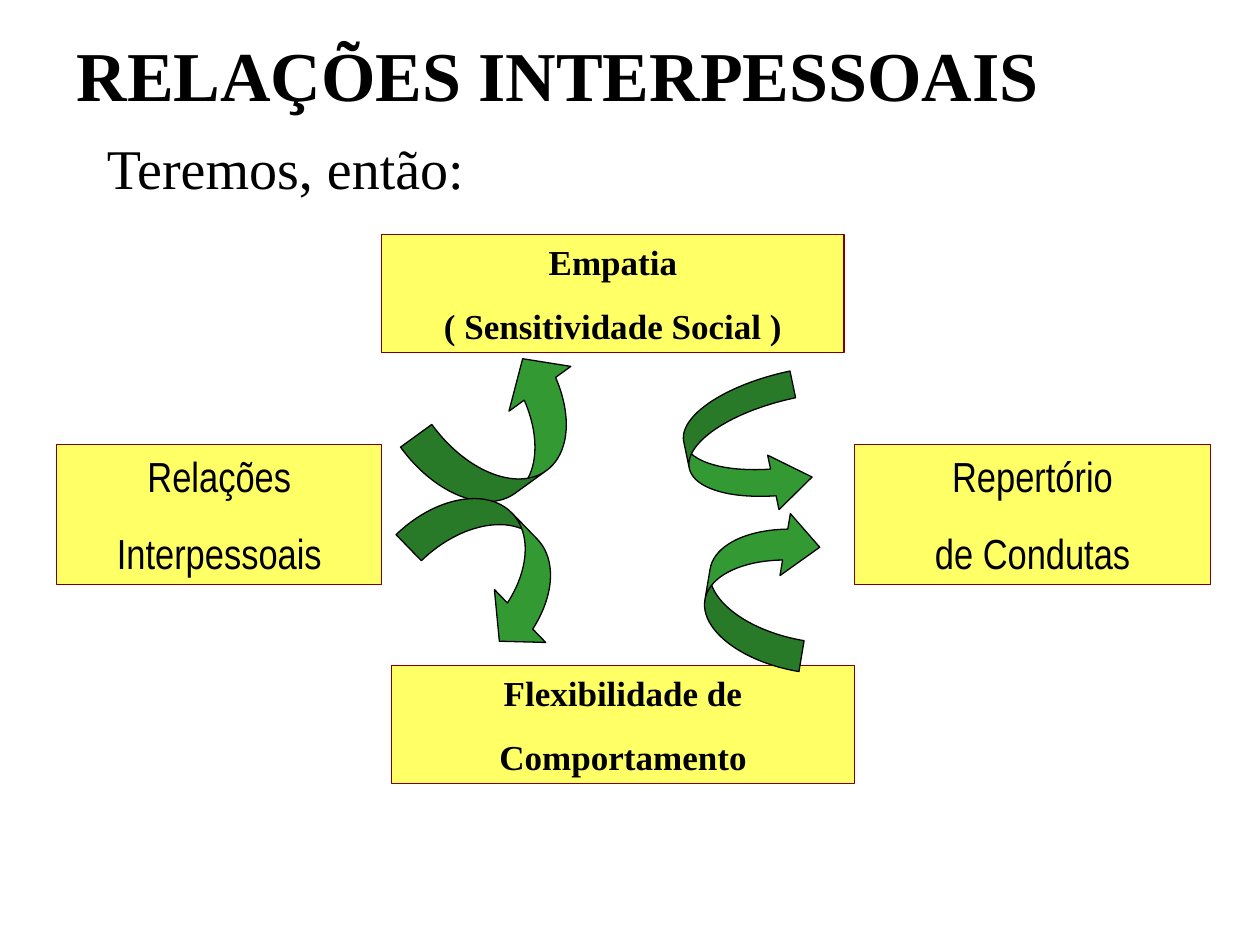
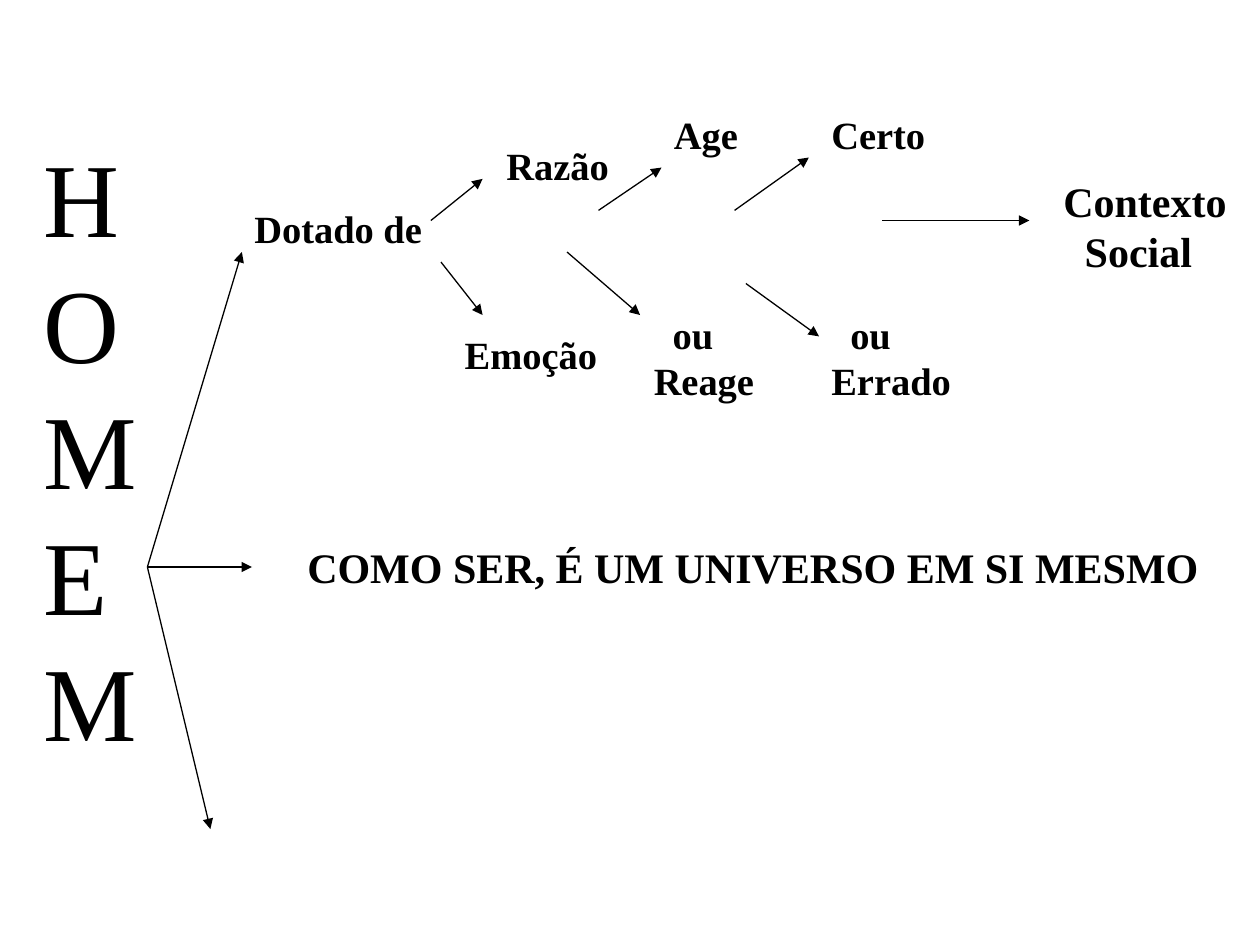
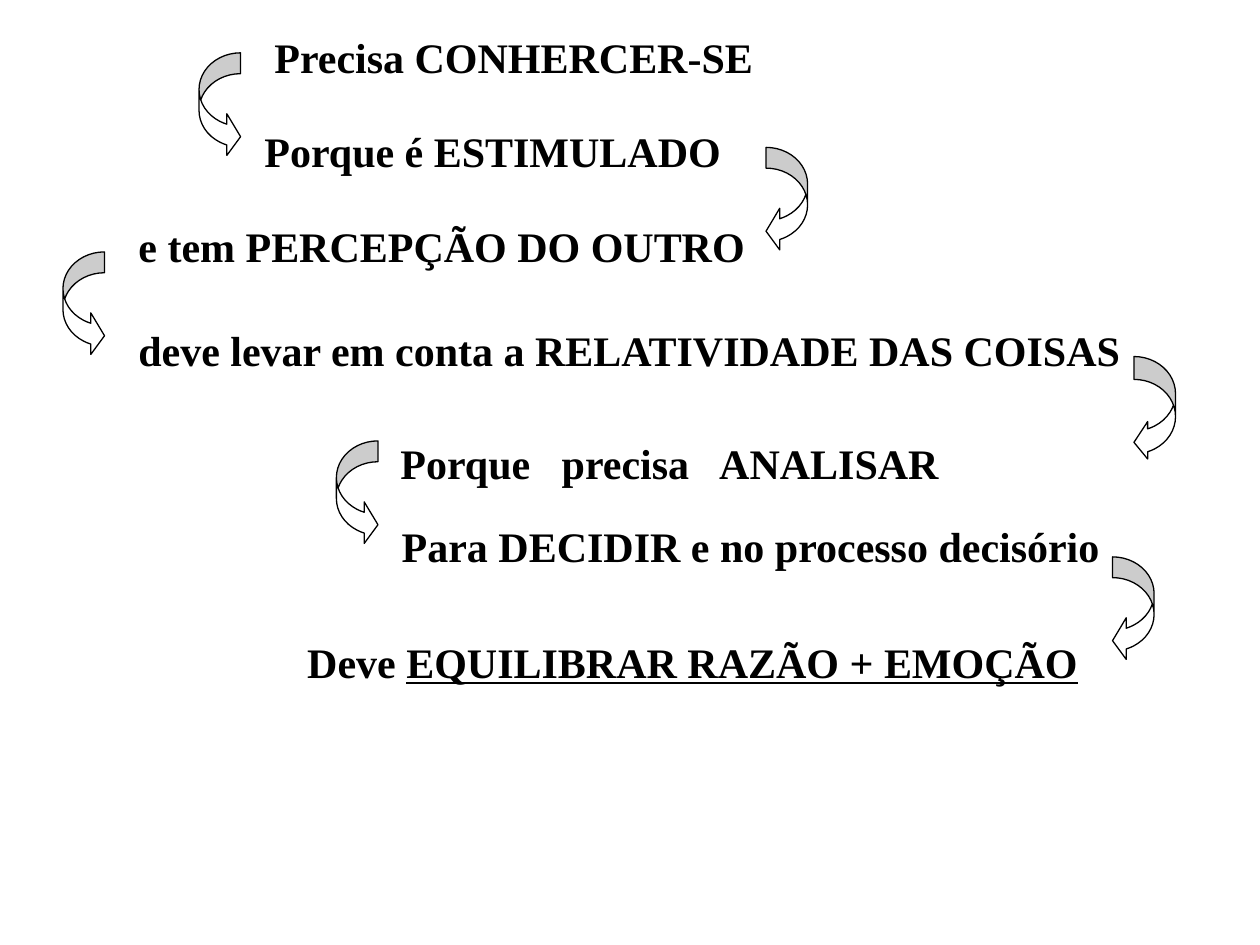
from pptx import Presentation
from pptx.dml.color import RGBColor
from pptx.enum.shapes import MSO_CONNECTOR, MSO_SHAPE
from pptx.enum.text import MSO_ANCHOR, PP_ALIGN
from pptx.oxml.ns import qn
from pptx.util import Inches, Pt
from lxml import etree

BLACK = RGBColor(0x00, 0x00, 0x00)
WHITE = RGBColor(0xFF, 0xFF, 0xFF)
YELLOW = RGBColor(0xFF, 0xFF, 0x66)
MAROON = RGBColor(0x80, 0x00, 0x00)
GREEN = RGBColor(0x33, 0x99, 0x33)

SERIF = "Times New Roman"
NARROW = "Arial Narrow"
LINE_WIDTH = Pt(0.75)

STRAIGHT = MSO_CONNECTOR.STRAIGHT
RECTANGLE = MSO_SHAPE.RECTANGLE
CURVED_UP = MSO_SHAPE.CURVED_UP_ARROW
CURVED_DOWN = MSO_SHAPE.CURVED_DOWN_ARROW
CURVED_LEFT = MSO_SHAPE.CURVED_LEFT_ARROW
CURVED_RIGHT = MSO_SHAPE.CURVED_RIGHT_ARROW
CENTER = PP_ALIGN.CENTER
MIDDLE = MSO_ANCHOR.MIDDLE
TOP = MSO_ANCHOR.TOP


def style_font(font, size, bold, name=SERIF):
    font.name = name
    font.size = Pt(size)
    font.bold = bold
    font.color.rgb = BLACK


def add_text(page, place, text, size=24, bold=True, anchor=TOP):
    box = page.shapes.add_textbox(*map(Inches, place))
    frame = box.text_frame
    frame.text = text
    frame.word_wrap = True
    frame.vertical_anchor = anchor
    for para in frame.paragraphs:
        for span in para.runs:
            style_font(span.font, size, bold)
    return frame


def indent(para, distance):
    para._p.get_or_add_pPr().set("marL", str(Inches(distance)))


def add_tabs(para, stops):
    tabs = etree.SubElement(para._p.get_or_add_pPr(), qn("a:tabLst"))
    for stop in stops:
        etree.SubElement(tabs, qn("a:tab"), pos=str(Inches(stop)), algn="l")


def add_filled_shape(page, kind, place, fill, line):
    shape = page.shapes.add_shape(kind, *map(Inches, place))
    shape.shadow.inherit = False
    shape.fill.solid()
    shape.fill.fore_color.rgb = fill
    shape.line.color.rgb = line
    shape.line.width = LINE_WIDTH
    return shape


def add_concept(page, place, text, size, name, bold):
    box = add_filled_shape(page, RECTANGLE, place, YELLOW, MAROON)
    frame = box.text_frame
    frame.text = text
    frame.word_wrap = True
    frame.vertical_anchor = TOP
    for number, para in enumerate(frame.paragraphs):
        para.alignment = CENTER
        if number:
            para.space_before = Pt(size * 0.625)
        for span in para.runs:
            style_font(span.font, size, bold, name)


def add_curved_arrow(page, kind, place, fill, proportions, rotation=0):
    arrow = add_filled_shape(page, kind, place, fill, BLACK)
    arrow.rotation = rotation
    for number, proportion in enumerate(proportions):
        arrow.adjustments[number] = proportion


def add_arrow(page, start, end):
    arrow = page.shapes.add_connector(STRAIGHT, *map(Inches, start + end))
    arrow.line.color.rgb = BLACK
    arrow.line.width = LINE_WIDTH
    line = arrow.line._get_or_add_ln()
    etree.SubElement(line, qn("a:tailEnd"), type="triangle")
    etree.SubElement(arrow._element.spPr, qn("a:effectLst"))


def build_relations(page):
    add_text(page, (0.51, 0, 8.83, 1.17), "RELAÇÕES INTERPESSOAIS", 40,
             anchor=MIDDLE)
    subtitle = add_text(page, (0.75, 1.07, 3.07, 0.63), "Teremos, então:", 32,
                        bold=False)
    subtitle.paragraphs[0].line_spacing = 0.9

    for place, text, size, name, bold in (
        ((0.45, 3.53, 2.58, 1.11), "Relações\nInterpessoais", 24, NARROW, False),
        ((3.03, 1.86, 3.67, 0.94), "Empatia\n( Sensitividade Social )", 20, SERIF, True),
        ((3.11, 5.28, 3.67, 0.94), "Flexibilidade de\nComportamento", 20, SERIF, True),
        ((6.78, 3.53, 2.83, 1.11), "Repertório\nde Condutas", 24, NARROW, False),
    ):
        add_concept(page, place, text, size, name, bold)

    for kind, place, proportions, rotation in (
        (CURVED_UP, (3.28, 3.03, 1.5, 0.83), (0.37, 0.73, 0.33), 324.1),
        (CURVED_DOWN, (3.2, 4.11, 1.47, 0.78), (0.37, 0.75, 0.33), 45.9),
        (CURVED_UP, (5.38, 3.1, 1.08, 0.94), (0.23, 0.47, 0.33), 78.2),
        (CURVED_DOWN, (5.41, 4.23, 1.25, 0.83), (0.3, 0.6, 0.33), 279.5),
    ):
        add_curved_arrow(page, kind, place, GREEN, proportions, rotation)


def build_man(page):
    add_text(page, (0.25, 1, 0.92, 5.1), "HOMEM", 60, bold=False)

    for place, text in (
        ((1.92, 1.58, 1.58, 0.47), "Dotado de"),
        ((3.92, 1.08, 1.05, 0.47), "Razão"),
        ((3.59, 2.58, 1.3, 0.47), "Emoção"),
        ((5.25, 0.83, 0.75, 0.47), "Age"),
        ((6.5, 0.83, 1, 0.47), "Certo"),
    ):
        add_text(page, place, text, 22)

    for place, text in (
        ((5.09, 2.42, 1.05, 0.84), "ou\nReage"),
        ((6.5, 2.42, 1.2, 0.84), "ou\nErrado"),
    ):
        choice = add_text(page, place, text, 22)
        indent(choice.paragraphs[0], 0.15)

    context = add_text(page, (8.34, 1.34, 1.55, 0.9), "Contexto\nSocial")
    indent(context.paragraphs[1], 0.17)
    add_text(page, (2.34, 4.25, 7.32, 0.5), "COMO SER, É UM UNIVERSO EM SI MESMO")

    origin = (1.17, 4.5)
    for end in ((1.92, 2), (2, 4.5), (1.67, 6.58)):
        add_arrow(page, origin, end)
    for start, end in (
        ((3.42, 1.75), (3.83, 1.42)),
        ((3.5, 2.08), (3.83, 2.5)),
        ((4.75, 1.67), (5.25, 1.33)),
        ((4.5, 2), (5.08, 2.5)),
        ((5.83, 1.67), (6.42, 1.25)),
        ((5.92, 2.25), (6.5, 2.67)),
        ((7, 1.75), (8.17, 1.75)),
    ):
        add_arrow(page, start, end)


def build_steps(page):
    for left, top, width, text in (
        (2.08, 0.2, 4.05, "Precisa CONHERCER-SE"),
        (2, 0.95, 3.88, "Porque é ESTIMULADO"),
        (1, 1.7, 5.05, "e tem PERCEPÇÃO DO OUTRO"),
        (1, 2.53, 8.05, "deve levar em conta a RELATIVIDADE DAS COISAS"),
        (3.09, 4.08, 5.8, "Para DECIDIR e no processo decisório"),
    ):
        add_text(page, (left, top, width, 0.5), text)

    analysis = add_text(page, (3.08, 3.42, 5, 0.5), "Porque\tprecisa\tANALISAR")
    add_tabs(analysis.paragraphs[0], (1.28, 2.53))

    balance = add_text(page, (2.34, 5, 6.36, 0.5), "Deve ")
    goal = balance.paragraphs[0].add_run()
    goal.text = "EQUILIBRAR RAZÃO + EMOÇÃO"
    style_font(goal.font, 24, True)
    goal.font.underline = True

    regular = (0.5, 1, 0.33)
    for kind, left, top, proportions in (
        (CURVED_RIGHT, 1.58, 0.42, regular),
        (CURVED_LEFT, 6.08, 1.17, regular),
        (CURVED_RIGHT, 0.5, 2, regular),
        (CURVED_LEFT, 9, 2.83, (0.55, 0.9, 0.33)),
        (CURVED_RIGHT, 2.67, 3.5, regular),
        (CURVED_LEFT, 8.83, 4.42, regular),
    ):
        add_curved_arrow(page, kind, (left, top, 0.33, 0.83), WHITE, proportions)


def main():
    deck = Presentation()
    deck.slide_width = Inches(10)
    deck.slide_height = Inches(7.5)
    blank = deck.slide_layouts[6]
    for build in (build_relations, build_man, build_steps):
        build(deck.slides.add_slide(blank))
    deck.save("out.pptx")


if __name__ == "__main__":
    main()
